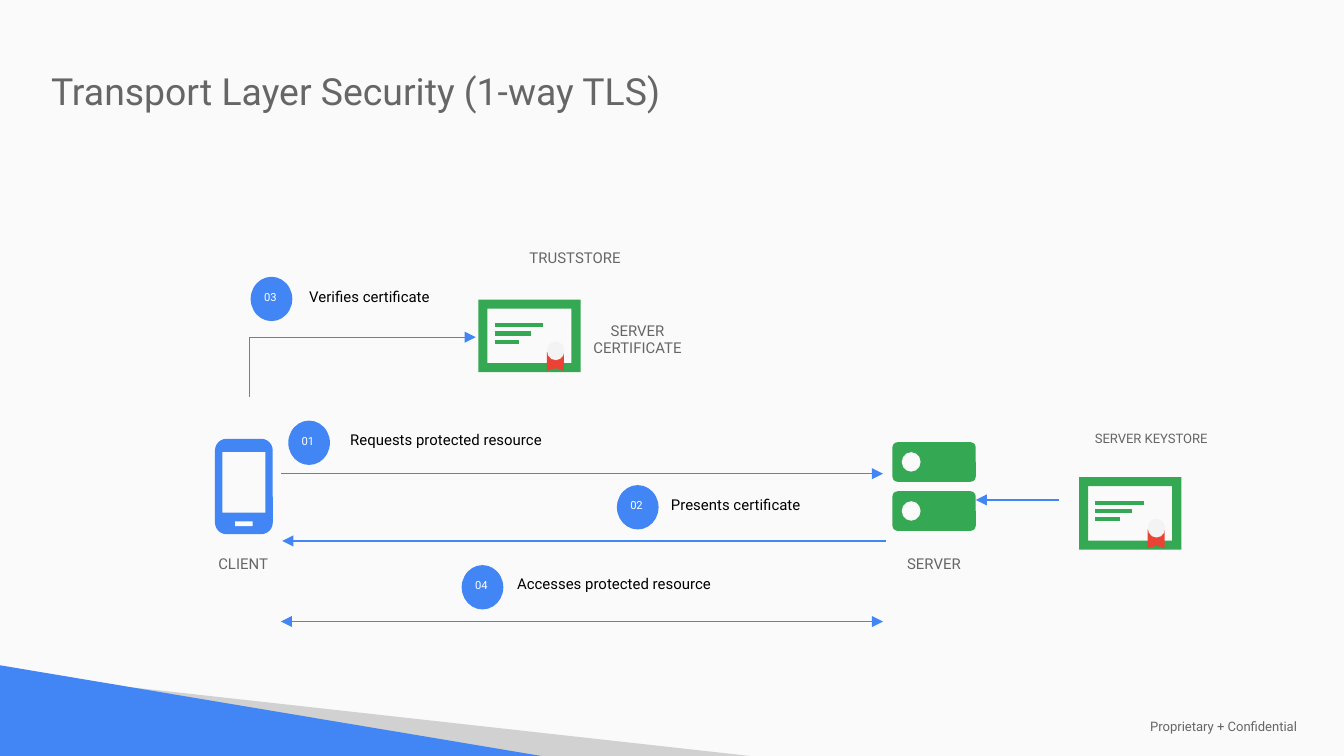
from lxml.etree import SubElement
from pptx import Presentation
from pptx.dml.color import RGBColor
from pptx.enum.shapes import MSO_CONNECTOR, MSO_SHAPE
from pptx.enum.text import MSO_ANCHOR, MSO_AUTO_SIZE, PP_ALIGN
from pptx.oxml.ns import qn
from pptx.util import Emu, Inches, Pt

BLUE, GREEN, RED = "4285F4", "34A853", "EA4335"
PAPER, GREY, BLACK, WHITE = "FAFAFA", "666666", "000000", "FFFFFF"
LEFT, CENTER = PP_ALIGN.LEFT, PP_ALIGN.CENTER
TOP, MIDDLE = MSO_ANCHOR.TOP, MSO_ANCHOR.MIDDLE

prs = Presentation()
prs.slide_width = Inches(10)
prs.slide_height = prs.slide_width * 9 // 16
cell = prs.slide_width // 100  # grid of 100 columns, 56.25 rows
s = prs.slides.add_slide(prs.slide_layouts[5])
s.background.fill.solid()
s.background.fill.fore_color.rgb = RGBColor.from_string(PAPER)


def grid(*cells):
    return [Emu(round(cell * n)) for n in cells]


def paint(sp, colour):
    sp.shadow.inherit = False
    sp.fill.solid()
    sp.fill.fore_color.rgb = RGBColor.from_string(colour)
    sp.line.fill.background()
    return sp


# Outlines: corner wedges and the ribbons of the two certificates
certificates = [(80.3, 35.5), (35.6, 22.3)]
outlines = [
    ("D1D1D1", [(8.5, 51), (55.8, 56.25), (40.1, 56.25)]),
    (BLUE, [(0, 49.5), (0, 56.25), (40.3, 56.25)]),
]
ribbon = [(5.1, 3.9), (6.35, 3.9), (6.35, 5.3), (5.75, 5.1), (5.1, 5.3)]

# Certificate frames
for x, y in certificates:
    paint(s.shapes.add_shape(MSO_SHAPE.FRAME, *grid(x, y, 7.6, 5.4)), GREEN)
    outlines.append((RED, [(x + dx, y + dy) for dx, dy in ribbon]))

for colour, corners in outlines:
    start, *rest = [grid(*corner) for corner in corners]
    fb = s.shapes.build_freeform(*start)
    fb.add_line_segments(rest)
    paint(fb.convert_to_shape(), colour)

# Client phone: body, screen, button
phone = s.shapes.add_shape(MSO_SHAPE.ROUNDED_RECTANGLE, *grid(16, 32.65, 4.3, 7.1))
phone.adjustments[0] = 0.2
paint(phone, BLUE)
for box in [(16.55, 33.65, 3.2, 4.5), (17.5, 38.8, 1.3, 0.35)]:
    paint(s.shapes.add_shape(MSO_SHAPE.RECTANGLE, *grid(*box)), PAPER)

# Server: two units, each with a lamp
for y in (32.9, 36.55):
    unit = s.shapes.add_shape(MSO_SHAPE.ROUNDED_RECTANGLE, *grid(66.4, y, 6.2, 2.95))
    unit.adjustments[0] = 0.13
    paint(unit, GREEN)
    paint(s.shapes.add_shape(MSO_SHAPE.OVAL, *grid(67.1, y + 0.75, 1.4, 1.45)), PAPER)

# Lines: kind, from, to, colour, points, arrowheads
STRAIGHT, ELBOW = MSO_CONNECTOR.STRAIGHT, MSO_CONNECTOR.ELBOW
lines = [
    (STRAIGHT, (72.6, 37.2), (78.8, 37.2), BLUE, 0.75, ["headEnd"]),
    (ELBOW, (18.5, 29.5), (35.4, 25.1), BLUE, 0.75, ["tailEnd"]),
    (STRAIGHT, (20.9, 35.25), (65.7, 35.25), BLUE, 0.75, ["tailEnd"]),
    (STRAIGHT, (65.9, 40.25), (21, 40.25), BLUE, 0.75, ["tailEnd"]),
    (STRAIGHT, (20.9, 46.25), (65.7, 46.25), BLUE, 0.75, ["headEnd", "tailEnd"]),
]

# Certificate seals and three lines of writing
for x, y in certificates:
    paint(s.shapes.add_shape(MSO_SHAPE.OVAL, *grid(x + 5.1, y + 3.1, 1.3, 1.4)), "F3F3F3")
    for i, length in enumerate([3.6, 2.7, 1.8]):
        row = y + 1.9 + 0.62 * i
        lines.append((STRAIGHT, (x + 1.2, row), (x + 1.2 + length, row), GREEN, 2.25, []))

for kind, start, end, colour, width, heads in lines:
    ln = s.shapes.add_connector(kind, *grid(*start, *end))
    ln.line.color.rgb = RGBColor.from_string(colour)
    ln.line.width = Pt(width)
    spPr = ln._element.spPr
    for head in heads:
        SubElement(spPr.find(qn("a:ln")), qn("a:" + head), type="triangle")
    SubElement(spPr, qn("a:effectLst"))
    if kind == ELBOW:  # bend right at the start
        av = spPr.find(qn("a:prstGeom")).get_or_add_avLst()
        SubElement(av, qn("a:gd"), name="adj1", fmla="val 400")

# Texts: box, wording, points, colour, alignment, anchor, inset in cells
texts = [
    ((3, 4.3, 59, 7.1), "Transport Layer Security (1-way TLS)", 20, GREY, LEFT, TOP, 0.8),
    ((84.6, 53.35, 14.9, 1.4), "Proprietary + Confidential", 7, GREY, LEFT, MIDDLE, 1),
    ((14.8, 40.5, 6.6, 3.2), "CLIENT", 8, GREY, CENTER, TOP, 0.8),
    ((66.2, 40.5, 6.6, 3.2), "SERVER", 8, GREY, CENTER, TOP, 0.8),
    ((80.4, 31.2, 10.5, 3.9), "SERVER KEYSTORE", 7, GREY, CENTER, TOP, 0.8),
    ((43.1, 23.1, 8.7, 3.9), "SERVER CERTIFICATE", 8, GREY, CENTER, TOP, 0.8),
    ((37.5, 17.7, 10.6, 3.2), "TRUSTSTORE", 8, GREY, CENTER, TOP, 0.8),
]

# Steps: numbered badge and label
for number, text, x, y, label_x, label_y, label_w in [
    ("01", "Requests protected resource", 21.45, 31.3, 24.5, 31.25, 17.4),
    ("02", "Presents certificate", 45.9, 36.1, 49, 36.1, 11.5),
    ("03", "Verifies certificate", 18.65, 20.6, 19.85, 20.6, 15.3),
    ("04", "Accesses protected resource", 34.35, 42.05, 37.4, 41.95, 16.6),
]:
    paint(s.shapes.add_shape(MSO_SHAPE.OVAL, *grid(x, y, 3.1, 3.3)), BLUE)
    texts += [
        ((x + 0.2, y + 0.2, 2.7, 2.9), number, 6, WHITE, LEFT, TOP, 0.8),
        ((label_x, label_y, label_w, 3.2), text, 8, BLACK, CENTER, TOP, 0.8),
    ]

for box, text, size, colour, align, anchor, inset in texts:
    sp = s.shapes.title if size == 20 else s.shapes.add_textbox(0, 0, 0, 0)
    sp.left, sp.top, sp.width, sp.height = grid(*box)
    tf = sp.text_frame
    tf.text = text
    tf.word_wrap = True
    tf.auto_size = MSO_AUTO_SIZE.NONE
    tf.vertical_anchor = anchor
    tf.margin_left, tf.margin_top, tf.margin_right, tf.margin_bottom = grid(*[inset] * 4)
    p = tf.paragraphs[0]
    p.alignment = align
    r = p.runs[0]
    r.font.name, r.font.size = "Roboto", Pt(size)
    r.font.color.rgb = RGBColor.from_string(colour)

prs.save("out.pptx")
